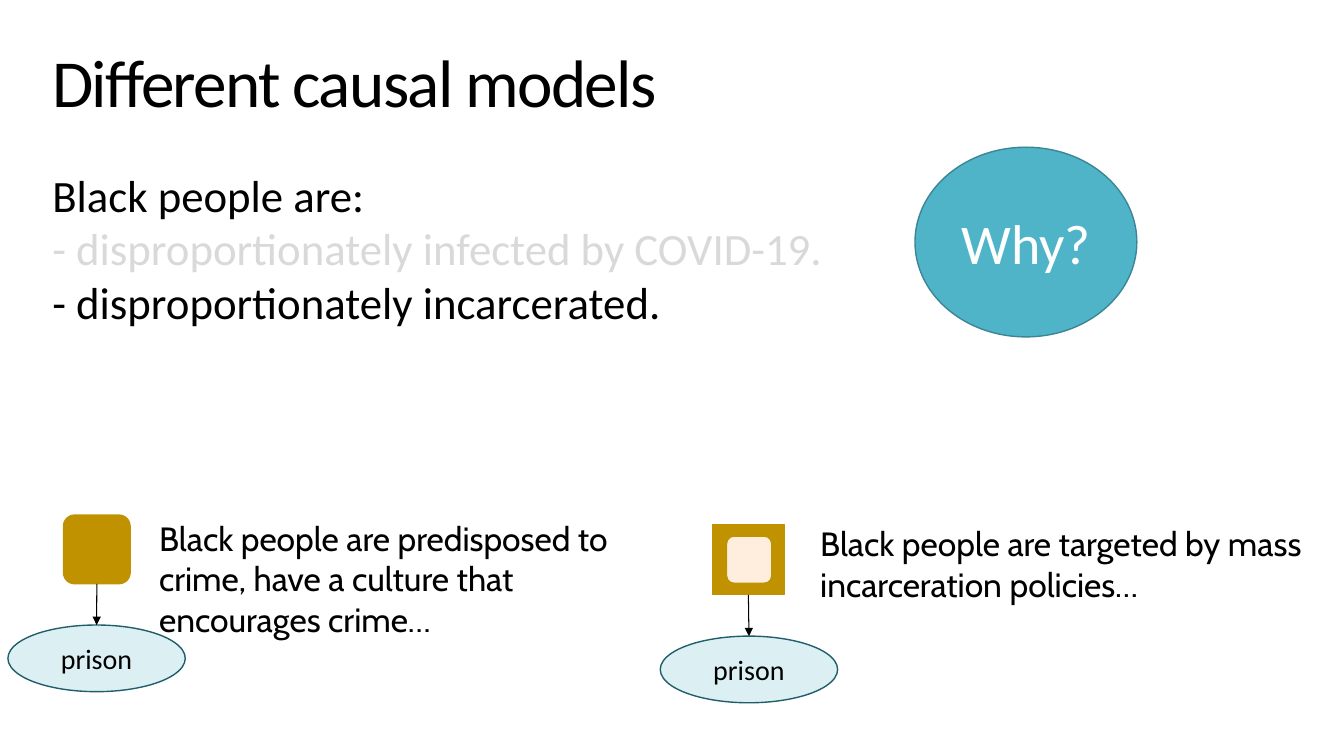
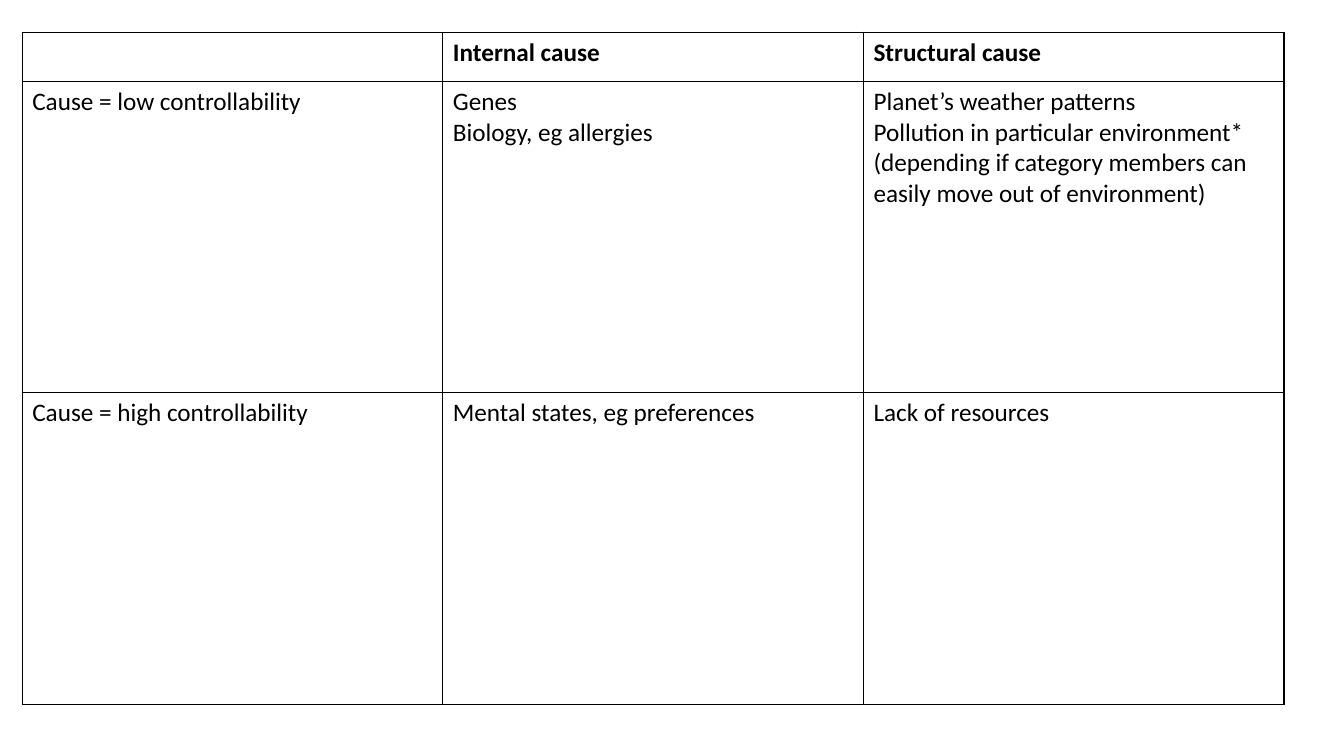
from lxml import etree
from pptx import Presentation
from pptx.dml.color import RGBColor
from pptx.enum import shapes, text
from pptx.oxml import ns
from pptx.util import Cm, Pt

BLACK = RGBColor(0x00, 0x00, 0x00)
WHITE = RGBColor(0xFF, 0xFF, 0xFF)
GREY = RGBColor(0xD9, 0xD9, 0xD9)
TEAL = RGBColor(0x50, 0xB4, 0xC8)
TEAL_EDGE = RGBColor(0x3B, 0x85, 0x94)
PALE_TEAL = RGBColor(0xDC, 0xF0, 0xF4)
DARK_TEAL = RGBColor(0x21, 0x5E, 0x6B)
GOLD = RGBColor(0xC0, 0x92, 0x00)
CREAM = RGBColor(0xFF, 0xEE, 0xDD)

BODY_FONT = "Calibri"
CLAIM_FONT = "Cabin"
OVAL = shapes.MSO_SHAPE.OVAL
RECTANGLE = shapes.MSO_SHAPE.RECTANGLE
ROUNDED = shapes.MSO_SHAPE.ROUNDED_RECTANGLE


def write(frame, lines, size, font=BODY_FONT, color=BLACK, bold=False,
          align=text.PP_ALIGN.LEFT):
    """Fill a text frame with one paragraph per line and return the paragraphs."""
    frame.word_wrap = True
    for number, line in enumerate(lines):
        paragraph = frame.add_paragraph() if number else frame.paragraphs[0]
        paragraph.alignment = align
        run = paragraph.add_run()
        run.text = line
        run.font.name = font
        run.font.size = Pt(size)
        run.font.bold = bold
        run.font.color.rgb = color
    return frame.paragraphs


def add_figure(slide, kind, box, fill, edge, label=None, size=20, color=BLACK):
    """Add a filled and outlined shape, with an optional centred label."""
    shape = slide.shapes.add_shape(kind, *map(Cm, box))
    shape.shadow.inherit = False
    shape.fill.solid()
    shape.fill.fore_color.rgb = fill
    shape.line.color.rgb = edge
    shape.line.width = Pt(1)
    if label:
        shape.text_frame.vertical_anchor = text.MSO_ANCHOR.MIDDLE
        write(shape.text_frame, [label], size, color=color, align=text.PP_ALIGN.CENTER)
    return shape


presentation = Presentation()
presentation.slide_width = Cm(33.87)
presentation.slide_height = Cm(19.05)
blank = presentation.slide_layouts[6]

# Slide 1: causal models
slide = presentation.slides.add_slide(blank)

title = slide.shapes.add_textbox(Cm(1.07), 0, Cm(26.49), Cm(4.09)).text_frame
title.vertical_anchor = text.MSO_ANCHOR.MIDDLE
heading = write(title, ["Different causal models"], 48)[0]
heading.runs[0].font._element.set("spc", "-120")

statement = slide.shapes.add_textbox(Cm(1.07), Cm(4.09), Cm(20.96), Cm(4.37)).text_frame
paragraphs = write(statement, [
    "Black people are:",
    "- disproportionately infected by COVID-19.",
    "- disproportionately incarcerated.",
], 32)
paragraphs[1].runs[0].font.color.rgb = GREY

add_figure(slide, OVAL, (23.06, 3.71, 5.59, 4.78), TEAL, TEAL_EDGE, "Why?", 40, WHITE)

# claim, claim box, cause shape, cause box, prison left and top
models = [
    ("Black people are predisposed to crime, have a culture that encourages crime…",
     (3.76, 12.93, 13.16, 3.33), ROUNDED, (1.6, 12.98, 1.68, 1.73), (0.2, 15.75)),
    ("Black people are targeted by mass incarceration policies…",
     (20.42, 13.06, 13.16, 2.31), RECTANGLE, (17.96, 13.21, 1.8, 1.78), (16.64, 16.03)),
]
for claim, claim_box, kind, cause_box, prison_corner in models:
    claim_text = slide.shapes.add_textbox(*map(Cm, claim_box)).text_frame
    write(claim_text, [claim], 24, CLAIM_FONT)
    cause = add_figure(slide, kind, cause_box, GOLD, GOLD)
    prison = add_figure(slide, OVAL, (*prison_corner, 4.47, 1.68),
                        PALE_TEAL, DARK_TEAL, "prison")
    arrow = slide.shapes.add_connector(shapes.MSO_CONNECTOR.STRAIGHT, 0, 0, 0, 0)
    arrow.begin_connect(cause, 2)
    arrow.end_connect(prison, 0)
    arrow.line.color.rgb = BLACK
    arrow.line.width = Pt(0.75)
    etree.SubElement(arrow.line._get_or_add_ln(), ns.qn("a:tailEnd"), type="triangle")
    etree.SubElement(arrow._element.spPr, ns.qn("a:effectLst"))

add_figure(slide, ROUNDED, (18.31, 13.51, 1.14, 1.19), CREAM, GOLD)

# Slide 2: causes by controllability
slide = presentation.slides.add_slide(blank)
rows = [
    [[], ["Internal cause"], ["Structural cause"]],
    [["Cause = low controllability"],
     ["Genes", "Biology, eg allergies"],
     ["Planet’s weather patterns",
      "Pollution in particular environment* (depending if category members can "
      "easily move out of environment)"]],
    [["Cause = high controllability"],
     ["Mental states, eg preferences"],
     ["Lack of resources"]],
]
row_heights = [1.24, 7.85, 7.85]
table = slide.shapes.add_table(3, 3, Cm(0.56), Cm(0.81), Cm(31.8),
                               Cm(sum(row_heights))).table
table.first_row = False
table.horz_banding = False
for column in table.columns:
    column.width = Cm(10.6)

for row_number, row in enumerate(rows):
    table.rows[row_number].height = Cm(row_heights[row_number])
    for column_number, lines in enumerate(row):
        cell = table.cell(row_number, column_number)
        write(cell.text_frame, lines, 18, bold=row_number == 0)
        properties = cell._tc.get_or_add_tcPr()
        for side in ("lnL", "lnR", "lnT", "lnB"):
            border = etree.SubElement(properties, ns.qn(f"a:{side}"), w=str(Pt(1)))
            solid = etree.SubElement(border, ns.qn("a:solidFill"))
            etree.SubElement(solid, ns.qn("a:srgbClr"), val=str(BLACK))
        cell.fill.background()

presentation.save("out.pptx")
